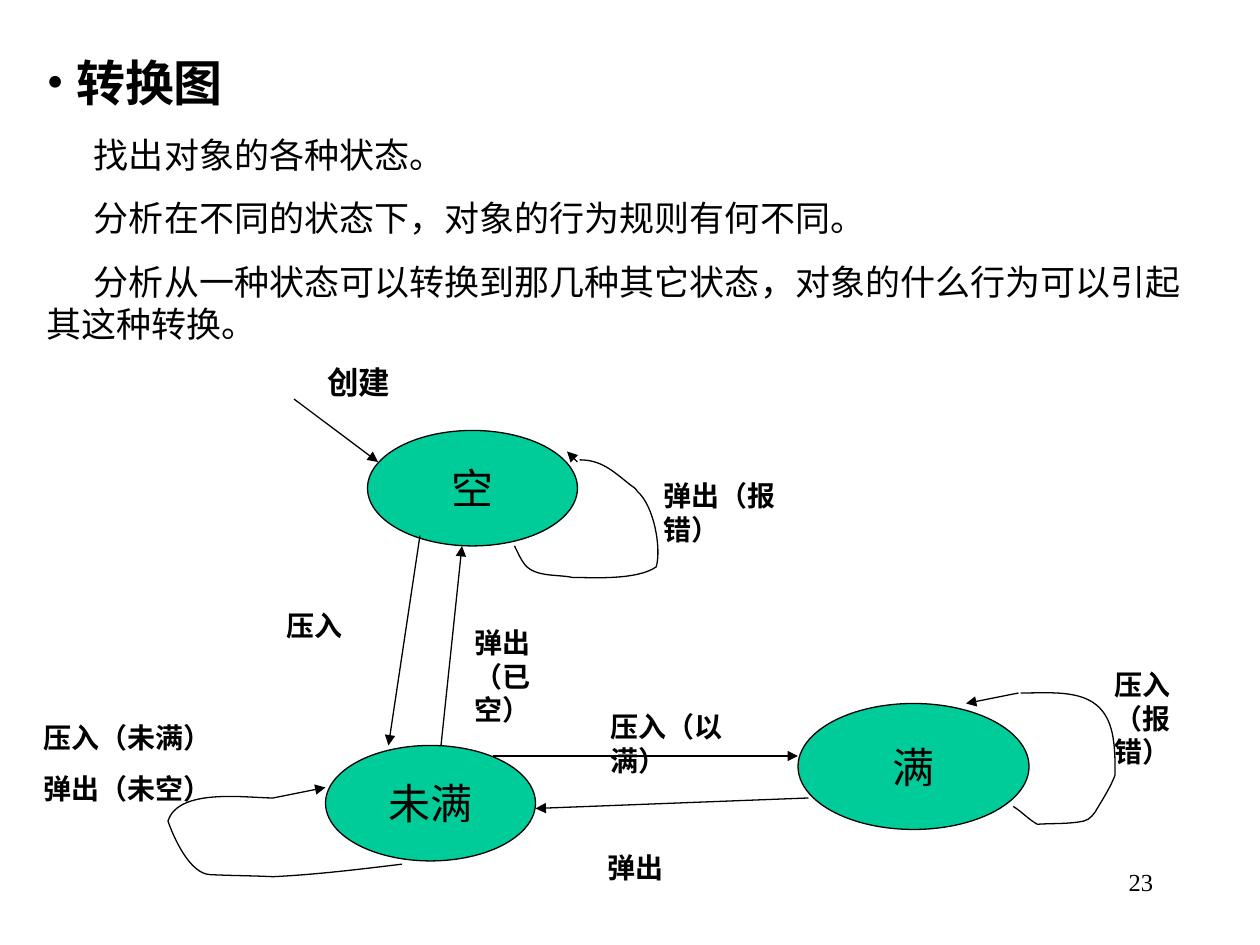
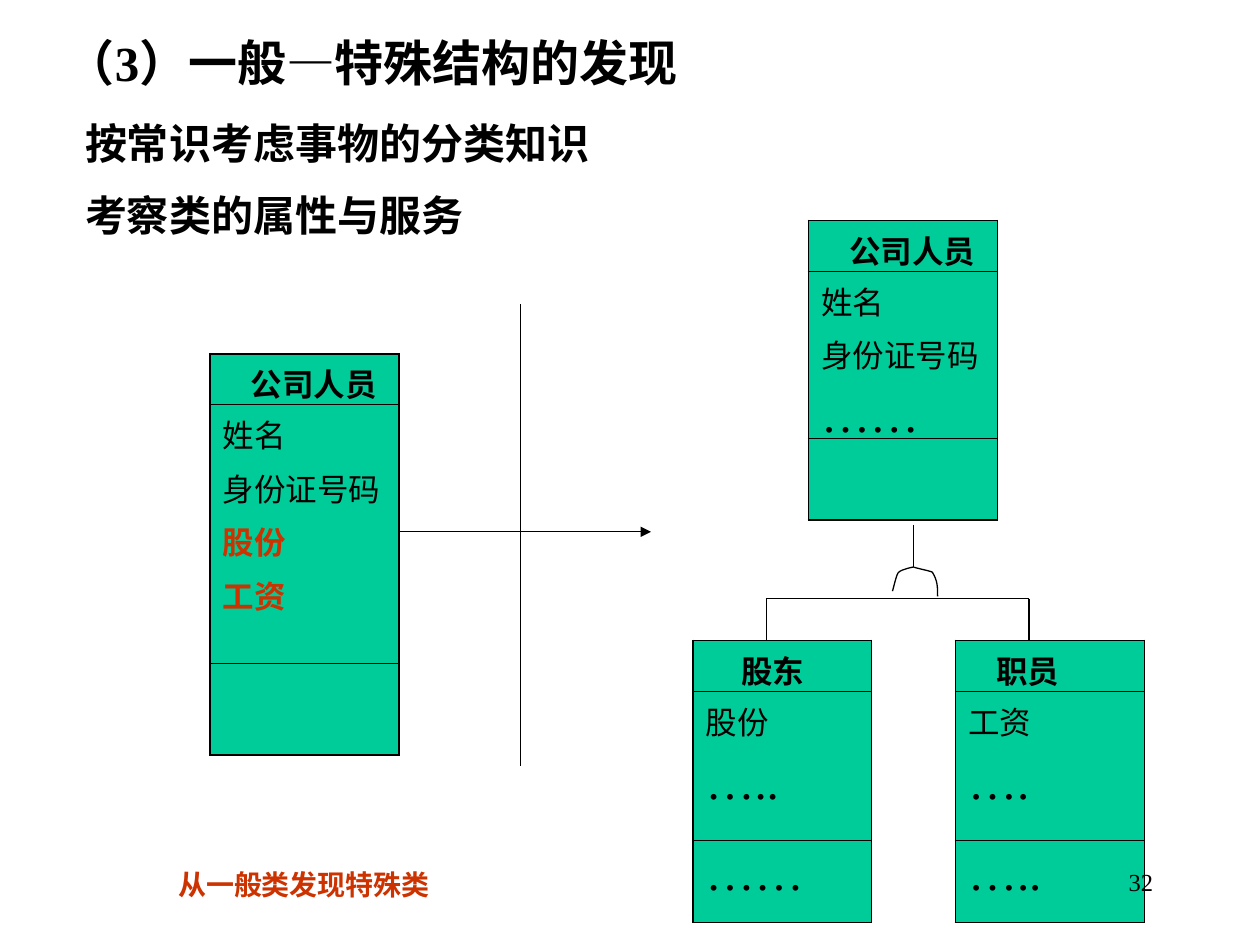
from dataclasses import dataclass
from typing import NamedTuple

from lxml import etree
from pptx import Presentation
from pptx import util as u
from pptx.dml.color import RGBColor
from pptx.enum import shapes, text
from pptx.oxml import ns

COLS, ROWS = 120, 90
WIDTH, HEIGHT = u.Inches(10), u.Inches(7.5)
BLACK = RGBColor(0x00, 0x00, 0x00)
GREEN = RGBColor(0x00, 0xCC, 0x99)
RED = RGBColor(0xCC, 0x33, 0x00)
FONT = "Times New Roman"
THIN = 0.75
EDGE, RULE = 1.08, 0.45
SLACK = -0.6

Point = tuple[float, float]


class Box(NamedTuple):
    left: float
    top: float
    width: float
    height: float


@dataclass
class Line:
    words: str
    size: float = 18
    bold: bool = False
    color: RGBColor = BLACK
    before: float = 0
    indent: float = 0
    bullet: bool = False


@dataclass
class Label:
    box: Box
    lines: list[Line]
    low: bool = False
    right: bool = False


@dataclass
class State:
    box: Box
    name: str


@dataclass
class Link:
    start: Point
    end: Point
    arrow: bool = True


@dataclass
class Card:
    left: float
    top: float
    width: float
    rows: list[float]
    cells: list[list[Line]]


def col(n: float) -> int:
    return round(n * WIDTH / COLS)


def row(n: float) -> int:
    return round(n * HEIGHT / ROWS)


def place(box: Box) -> tuple[int, int, int, int]:
    return col(box.left), row(box.top), col(box.width), row(box.height)


def write(frame, lines: list[Line], align=text.PP_ALIGN.LEFT) -> None:
    for i, line in enumerate(lines):
        para = frame.add_paragraph() if i else frame.paragraphs[0]
        para.alignment = align
        if i:
            para.space_before = u.Pt(line.before)
        props = para._p.get_or_add_pPr()
        shift = col(line.indent)
        props.set("marL", str(shift if line.bullet else 0))
        props.set("indent", str(-shift if line.bullet else shift))
        if line.bullet:
            etree.SubElement(props, ns.qn("a:buFont")).set("typeface", FONT)
            etree.SubElement(props, ns.qn("a:buChar")).set("char", "•")
        run = para.add_run()
        run.text = line.words
        run.font.name = FONT
        run.font.size = u.Pt(line.size)
        run.font.bold = line.bold
        run.font.color.rgb = line.color


def add_label(slide, label: Label) -> None:
    frame = slide.shapes.add_textbox(*place(label.box)).text_frame
    frame.word_wrap = True
    if label.low:
        frame.vertical_anchor = text.MSO_ANCHOR.BOTTOM
    align = text.PP_ALIGN.RIGHT if label.right else text.PP_ALIGN.LEFT
    write(frame, label.lines, align)


def add_state(slide, state: State) -> None:
    oval = slide.shapes.add_shape(shapes.MSO_SHAPE.OVAL, *place(state.box))
    oval.shadow.inherit = False
    oval.fill.solid()
    oval.fill.fore_color.rgb = GREEN
    oval.line.color.rgb = BLACK
    oval.line.width = u.Pt(THIN)
    frame = oval.text_frame
    frame.word_wrap = False
    frame.vertical_anchor = text.MSO_ANCHOR.MIDDLE
    write(frame, [Line(state.name, 24)], text.PP_ALIGN.CENTER)


def add_link(slide, link: Link) -> None:
    (x, y), (far, low) = link.start, link.end
    wire = slide.shapes.add_connector(
        shapes.MSO_CONNECTOR.STRAIGHT, col(x), row(y), col(far), row(low))
    wire.line.color.rgb = BLACK
    wire.line.width = u.Pt(THIN)
    props = wire._element.spPr
    if link.arrow:
        tail = etree.SubElement(props.find(ns.qn("a:ln")), ns.qn("a:tailEnd"))
        tail.set("type", "triangle")
    etree.SubElement(props, ns.qn("a:effectLst"))


def add_curve(slide, knots: list[Point]) -> None:
    first, *rest = [(col(x), row(y)) for x, y in knots]
    pen = slide.shapes.build_freeform(*first)
    pen.add_line_segments(rest, close=False)
    curve = pen.convert_to_shape()
    curve.shadow.inherit = False
    curve.fill.background()
    curve.line.color.rgb = BLACK
    curve.line.width = u.Pt(THIN)
    route = next(curve._element.iter(ns.qn("a:path")))
    legs = route.findall(ns.qn("a:lnTo"))
    for i in range(0, len(legs), 3):
        arc = etree.SubElement(route, ns.qn("a:cubicBezTo"))
        for leg in legs[i:i + 3]:
            arc.append(leg[0])
            route.remove(leg)


def add_edge(cell, side: str, width: float) -> None:
    edge = etree.SubElement(cell._tc.get_or_add_tcPr(), ns.qn(f"a:ln{side}"))
    edge.set("w", str(u.Pt(width)))
    fill = etree.SubElement(edge, ns.qn("a:solidFill"))
    etree.SubElement(fill, ns.qn("a:srgbClr")).set("val", str(BLACK))


def add_card(slide, card: Card) -> None:
    count = len(card.rows)
    box = Box(card.left, card.top, card.width, sum(card.rows))
    table = slide.shapes.add_table(count, 1, *place(box)).table
    for i, (high, lines) in enumerate(zip(card.rows, card.cells)):
        table.rows[i].height = row(high)
        cell = table.cell(i, 0)
        cell.margin_bottom = row(SLACK)
        add_edge(cell, "L", EDGE)
        add_edge(cell, "R", EDGE)
        add_edge(cell, "T", RULE if i else EDGE)
        add_edge(cell, "B", RULE if i < count - 1 else EDGE)
        cell.fill.solid()
        cell.fill.fore_color.rgb = GREEN
        write(cell.text_frame, lines)


def note(words: str, indent: float = 0) -> Line:
    return Line(words, 16, True, before=10, indent=indent)


def head(words: str, indent: float = 2.7) -> list[Line]:
    return [Line(words, bold=True, indent=indent)]


def item(words: str, hot: bool = False) -> Line:
    return Line(words, bold=hot, color=RED if hot else BLACK, before=4.5)


def dots(words: str) -> Line:
    return Line(words, 28, before=7)


INTRO = Label(Box(3.27, 4.4, 113, 29), [
    Line("转换图", 28, True, indent=2.8, bullet=True)] + [
    Line(words, 20, before=12.5, indent=4.5) for words in (
        "找出对象的各种状态。",
        "分析在不同的状态下，对象的行为规则有何不同。",
        "分析从一种状态可以转换到那几种其它状态，"
        "对象的什么行为可以引起其这种转换。")])
STATES = [
    State(Box(35, 41, 20, 11), "空"),
    State(Box(31, 71, 20, 11), "未满"),
    State(Box(76, 67, 22, 12), "满"),
]
MOVES = [
    Link((28, 38), (36, 44)),
    Link((55, 44), (54, 43)),
    Link((40, 51), (37, 71)),
    Link((42, 71), (44, 52)),
    Link((97, 66), (92, 67)),
    Link((47, 72), (76, 72)),
    Link((77, 76), (51, 77)),
    Link((26, 76), (31, 75)),
]
LOOPS = [
    [(49, 52), (49.3, 52.6), (49.6, 53.3), (50, 53.8), (51, 55),
     (53.2, 54.7), (54.5, 55), (56.3, 55), (60.6, 55.3), (62.5, 54),
     (63, 52.2), (62.3, 48.2), (60.7, 46.8), (60.5, 46.4), (60.1, 46.3),
     (59.8, 46), (58.3, 44.8), (57.2, 43.8), (55.2, 43.8)],
    [(96.5, 76.8), (97.3, 77.3), (97.9, 78), (98.8, 78.5), (100.2, 78.4),
     (101.8, 78.5), (103.2, 78.2), (103.8, 78.1), (104.3, 77.4), (104.5, 77),
     (105.1, 76), (105.8, 74.9), (106.2, 73.8), (106.2, 72.6), (106.2, 71.4),
     (106, 70.2), (105.2, 65.4), (101, 66), (97.2, 66)],
    [(38.3, 82.3), (34.2, 82.8), (30.1, 83.3), (26, 83.5), (24, 83.4),
     (22, 83.4), (20, 83.3), (18.1, 83.2), (16.6, 79.9), (16, 78.2),
     (17, 75), (23.5, 76), (26, 76)],
]
NOTES = [
    Label(Box(30, 34, 17, 4.8), [Line("创建", 18, True)]),
    Label(Box(62, 45, 17, 7.7), [note("弹出（报错）")]),
    Label(Box(18, 55.75, 20, 6), [note("压入", 8.1)], low=True),
    Label(Box(44, 59, 12, 10.8), [note("弹出（已空）")]),
    Label(Box(105, 63, 12, 10.8), [note("压入（报错）")]),
    Label(Box(54, 78.75, 17, 6), [note("弹出", 2.7)], low=True),
    Label(Box(57, 67, 17, 7.7), [note("压入（以满）")]),
    Label(Box(3, 68, 22, 9.2), [note("压入（未满）"), note("弹出（未空）")]),
]

TITLE = Label(Box(3.2, 2.5, 104, 21), [
    Line("（3）一般—特殊结构的发现", 28, True, indent=1.9),
    Line("按常识考虑事物的分类知识", 24, True, before=15, indent=3.72),
    Line("考察类的属性与服务", 24, True, before=12.5, indent=3.72)])
FOOT = Label(Box(5, 82, 47, 4.4),
             [Line("从一般类发现特殊类", 16, True, RED, indent=10.8)])
BASE = [item("姓名"), item("身份证号码")]
CARDS = [
    Card(20, 33.7, 18, [4.85, 24.6, 8.75], [
        head("公司人员"),
        BASE + [item("股份", True), item("工资", True)], []]),
    Card(77, 21, 18, [4.85, 15.9, 7.75], [
        head("公司人员"), BASE + [dots("……")], []]),
    Card(66, 61, 17, [4.85, 14.2, 7.8], [
        head("股东", 3.4), [item("股份"), dots("…..")], [dots("……")]]),
    Card(91, 61, 18, [4.85, 14.2, 7.8], [
        head("职员"), [item("工资"), dots("….")], [dots("…..")]]),
]
TREE = [
    Link((49.6, 29), (49.6, 73), False),
    Link((38, 50.65), (62, 50.65)),
    Link((87, 50), (87, 54), False),
    Link((73, 57), (98, 57), False),
    Link((73, 57), (73, 61), False),
    Link((98, 57), (98, 61), False),
]
FORK = [(85, 56.3), (85.1, 56), (85.4, 54.6), (85.6, 54.5), (85.9, 54.2),
        (87, 54), (87, 54), (87.2, 54.1), (88.7, 54.4), (88.8, 54.5),
        (89.3, 55.3), (89.3, 55.9), (89.3, 56.8)]


def add_page(deck, number: int, groups) -> None:
    slide = deck.slides.add_slide(deck.slide_layouts[6])
    for add, things in groups:
        for thing in things:
            add(slide, thing)
    add_label(slide, Label(Box(86, 82, 25, 6), [Line(str(number), 14)],
                           right=True))


def main() -> None:
    deck = Presentation()
    deck.slide_width, deck.slide_height = WIDTH, HEIGHT
    add_page(deck, 23, [(add_label, [INTRO]), (add_state, STATES),
                        (add_link, MOVES), (add_curve, LOOPS),
                        (add_label, NOTES)])
    add_page(deck, 32, [(add_label, [TITLE]), (add_card, CARDS),
                        (add_link, TREE), (add_curve, [FORK]),
                        (add_label, [FOOT])])
    deck.save("out.pptx")


if __name__ == "__main__":
    main()
